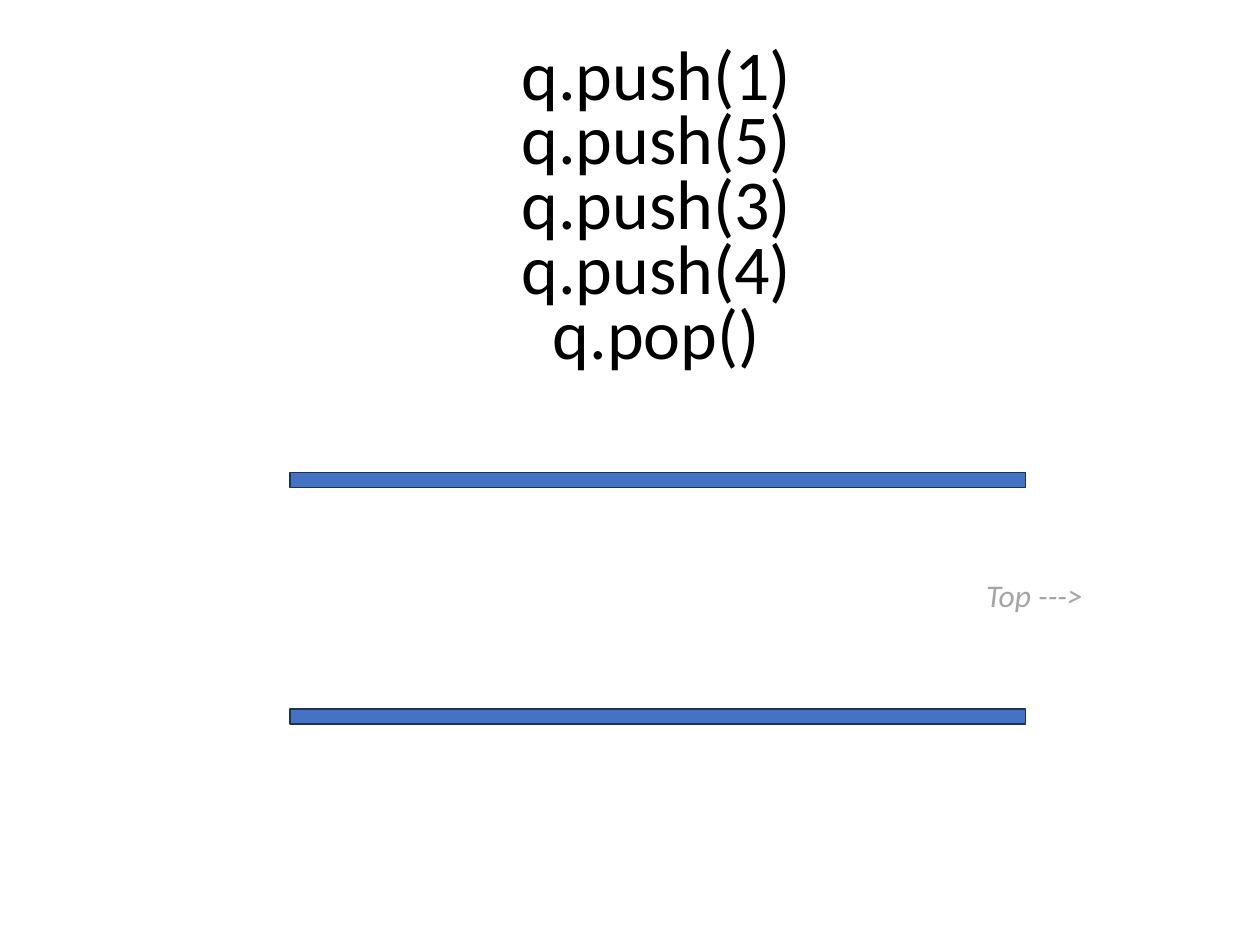
import pptx
import pptx.util
import pptx.dml.color
import pptx.enum.shapes
import pptx.enum.text

OPERATIONS = ["q.push(1)", "q.push(5)", "q.push(3)", "q.push(4)", "q.pop()"]
TOP_LABEL = "Top --->"
COLOURS = {"bar": "4472C4", "edge": "1E3256", "code": "000000", "label": "A5A5A5"}
FONT = "Calibri"

WIDTH, HEIGHT = 10, 7.5
CENTRE = 5.21
FIRST_ROW, ROW_STEP = 0.19, 0.515
BAR_LEFT, BAR_WIDTH, BAR_HEIGHT = 2.3, 5.84, 0.12
BAR_TOPS = [HEIGHT * 0.5, HEIGHT * 0.75]


def inches(*lengths):
    return [pptx.util.Inches(length) for length in lengths]


def colour(name):
    return pptx.dml.color.RGBColor.from_string(COLOURS[name])


def add_text(page, text, *, centre, top, width, height, size, ink, italic=False):
    box = page.shapes.add_textbox(*inches(centre - width / 2, top, width, height))
    frame = box.text_frame
    frame.word_wrap = False
    frame.auto_size = pptx.enum.text.MSO_AUTO_SIZE.SHAPE_TO_FIT_TEXT
    para = frame.paragraphs[0]
    para.alignment = pptx.enum.text.PP_ALIGN.CENTER
    span = para.add_run()
    span.text = text
    span.font.name = FONT
    span.font.size = pptx.util.Pt(size)
    span.font.italic = italic
    span.font.color.rgb = colour(ink)


def add_bar(page, top):
    bar = page.shapes.add_shape(
        pptx.enum.shapes.MSO_SHAPE.RECTANGLE,
        *inches(BAR_LEFT, top, BAR_WIDTH, BAR_HEIGHT))
    bar.shadow.inherit = False
    bar.fill.solid()
    bar.fill.fore_color.rgb = colour("bar")
    bar.line.color.rgb = colour("edge")
    bar.line.width = pptx.util.Pt(1)


def main():
    deck = pptx.Presentation()
    deck.slide_width, deck.slide_height = inches(WIDTH, HEIGHT)
    page = deck.slides.add_slide(deck.slide_layouts.get_by_name("Blank"))
    for top in BAR_TOPS:
        add_bar(page, top)
    for row, operation in enumerate(OPERATIONS):
        width = 2.37 if "push" in operation else 1.86
        add_text(page, operation, centre=CENTRE, top=FIRST_ROW + row * ROW_STEP,
                 width=width, height=0.77, size=40, ink="code")
    add_text(page, TOP_LABEL, centre=8.21, top=4.52, width=0.98, height=0.4,
             size=18, ink="label", italic=True)
    deck.save("out.pptx")


if __name__ == "__main__":
    main()
